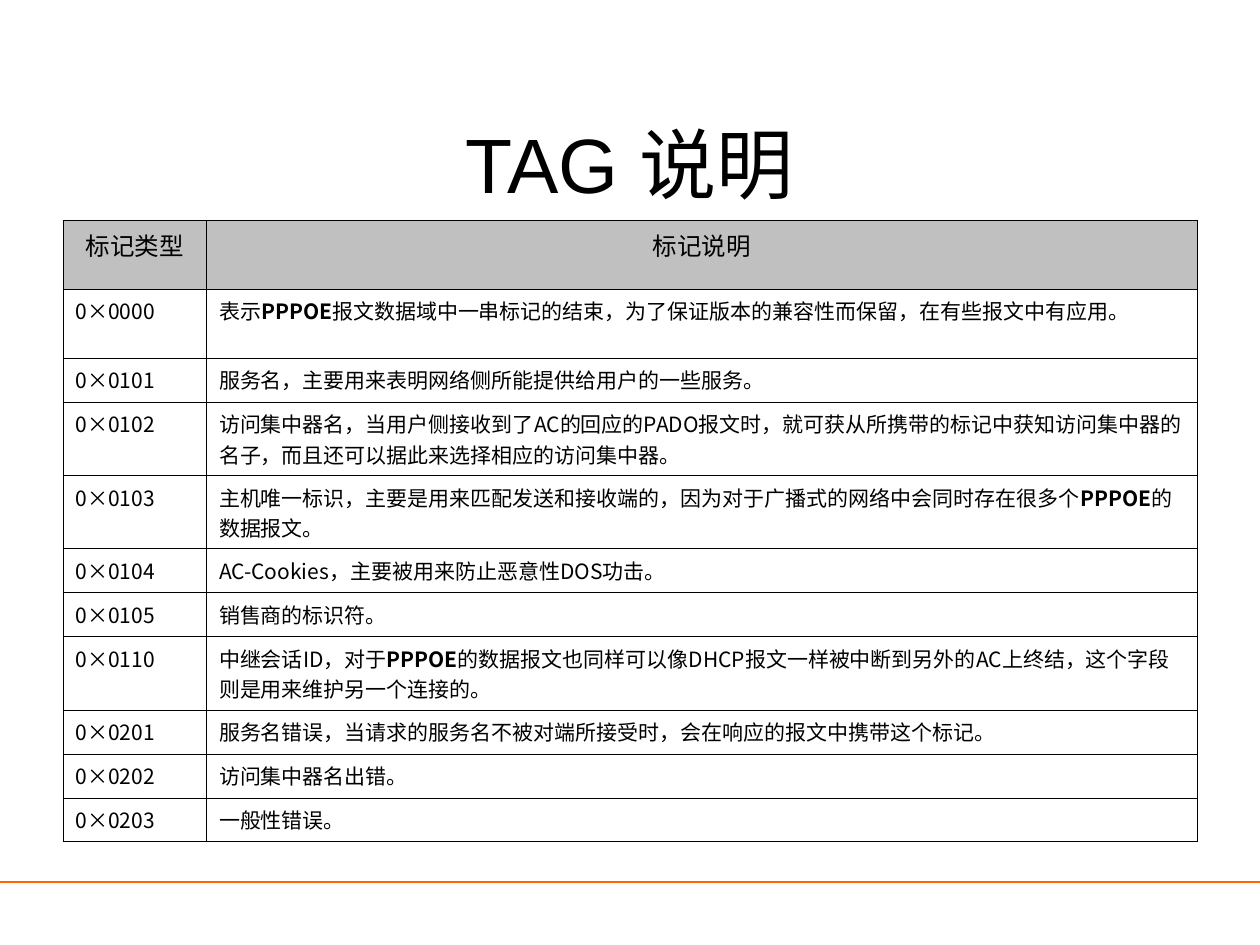
from lxml.etree import SubElement as Sub
from pptx import Presentation
from pptx.dml.color import RGBColor as RGB
from pptx.enum.shapes import MSO_CONNECTOR as Conn
from pptx.enum.text import MSO_ANCHOR as Anchor, PP_ALIGN as Align
from pptx.oxml.ns import qn
from pptx.util import Pt

BLACK = RGB(0, 0, 0)
WHITE = RGB(255, 255, 255)
GREY = RGB(0xC0, 0xC0, 0xC0)
ORANGE = RGB(0xFF, 0x66, 0)
CJK = "Noto Sans CJK SC"
TERM = "PPPOE"  # always bold

HEAD = ("标记类型", "标记说明")
TAGS = [
    ("0×0000", "表示PPPOE报文数据域中一串标记的结束，为了保证版本的兼容性而保留，在有些报文中有应用。"),
    ("0×0101", "服务名，主要用来表明网络侧所能提供给用户的一些服务。"),
    ("0×0102", "访问集中器名，当用户侧接收到了AC的回应的PADO报文时，就可获从所携带的标记中获知"
               "访问集中器的名子，而且还可以据此来选择相应的访问集中器。"),
    ("0×0103", "主机唯一标识，主要是用来匹配发送和接收端的，因为对于广播式的网络中会同时存在"
               "很多个PPPOE的数据报文。"),
    ("0×0104", "AC-Cookies，主要被用来防止恶意性DOS功击。"),
    ("0×0105", "销售商的标识符。"),
    ("0×0110", "中继会话ID，对于PPPOE的数据报文也同样可以像DHCP报文一样被中断到另外的AC上终结，"
               "这个字段则是用来维护另一个连接的。"),
    ("0×0201", "服务名错误，当请求的服务名不被对端所接受时，会在响应的报文中携带这个标记。"),
    ("0×0202", "访问集中器名出错。"),
    ("0×0203", "一般性错误。"),
]
ONE, TWO, TALL = 25.1, 42, 39.3  # row heights
ROWS = [TALL, TALL, ONE, TWO, TWO, ONE, ONE, TWO, ONE, ONE, ONE]


def style(run, size, face, bold=False):
    font = run.font
    font.size, font.name, font.bold = Pt(size), face, bold
    font.color.rgb = BLACK
    Sub(run._r.get_or_add_rPr(), qn("a:ea"), typeface=CJK)


def border(cell):
    props = cell._tc.get_or_add_tcPr()
    for i, side in enumerate(("lnL", "lnR", "lnT", "lnB")):
        line = props.makeelement(qn("a:" + side), {"w": str(Pt(0.45))})
        fill = Sub(line, qn("a:solidFill"))
        Sub(fill, qn("a:srgbClr"), val=str(BLACK))
        props.insert(i, line)


def fill_cell(cell, text, size, color, align):
    cell.fill.solid()
    cell.fill.fore_color.rgb = color
    border(cell)
    para = cell.text_frame.paragraphs[0]
    para.alignment = align
    for part in text.partition(TERM):
        if part:
            run = para.add_run()
            run.text = part
            style(run, size, CJK, part == TERM)


def add_title(slide, x, y, w, h):
    frame = slide.shapes.add_textbox(Pt(x), Pt(y), Pt(w), Pt(h)).text_frame
    frame.word_wrap = True
    frame.vertical_anchor = Anchor.MIDDLE
    frame.text = "TAG 说明"
    para = frame.paragraphs[0]
    para.alignment = Align.CENTER
    style(para.runs[0], 44, "Arial")


def add_tags(slide, x, y, w, h):
    data = [HEAD] + TAGS
    table = slide.shapes.add_table(len(data), 2, Pt(x), Pt(y), Pt(w), Pt(h)).table
    first = 82
    table.columns[0].width = Pt(first)
    table.columns[1].width = Pt(w - first)
    for r, texts in enumerate(data):
        table.rows[r].height = Pt(ROWS[r])
        look = (12, WHITE, Align.LEFT) if r else (14, GREY, Align.CENTER)
        for c, text in enumerate(texts):
            fill_cell(table.cell(r, c), text, *look)


def add_rule(slide, x, y, w):
    rule = slide.shapes.add_connector(Conn.STRAIGHT, Pt(x), Pt(y), Pt(x + w), Pt(y))
    rule.line.color.rgb = ORANGE
    rule.line.width = Pt(1.25)
    Sub(rule._element.spPr, qn("a:effectLst"))


def main():
    deck = Presentation()
    deck.slide_width, deck.slide_height = Pt(720), Pt(540)
    slide = deck.slides.add_slide(deck.slide_layouts[6])
    add_rule(slide, 0, 504, 720)
    add_title(slide, 36, 78, 648, 30)
    add_tags(slide, 36, 126, 648, sum(ROWS))
    deck.save("out.pptx")


if __name__ == "__main__":
    main()
